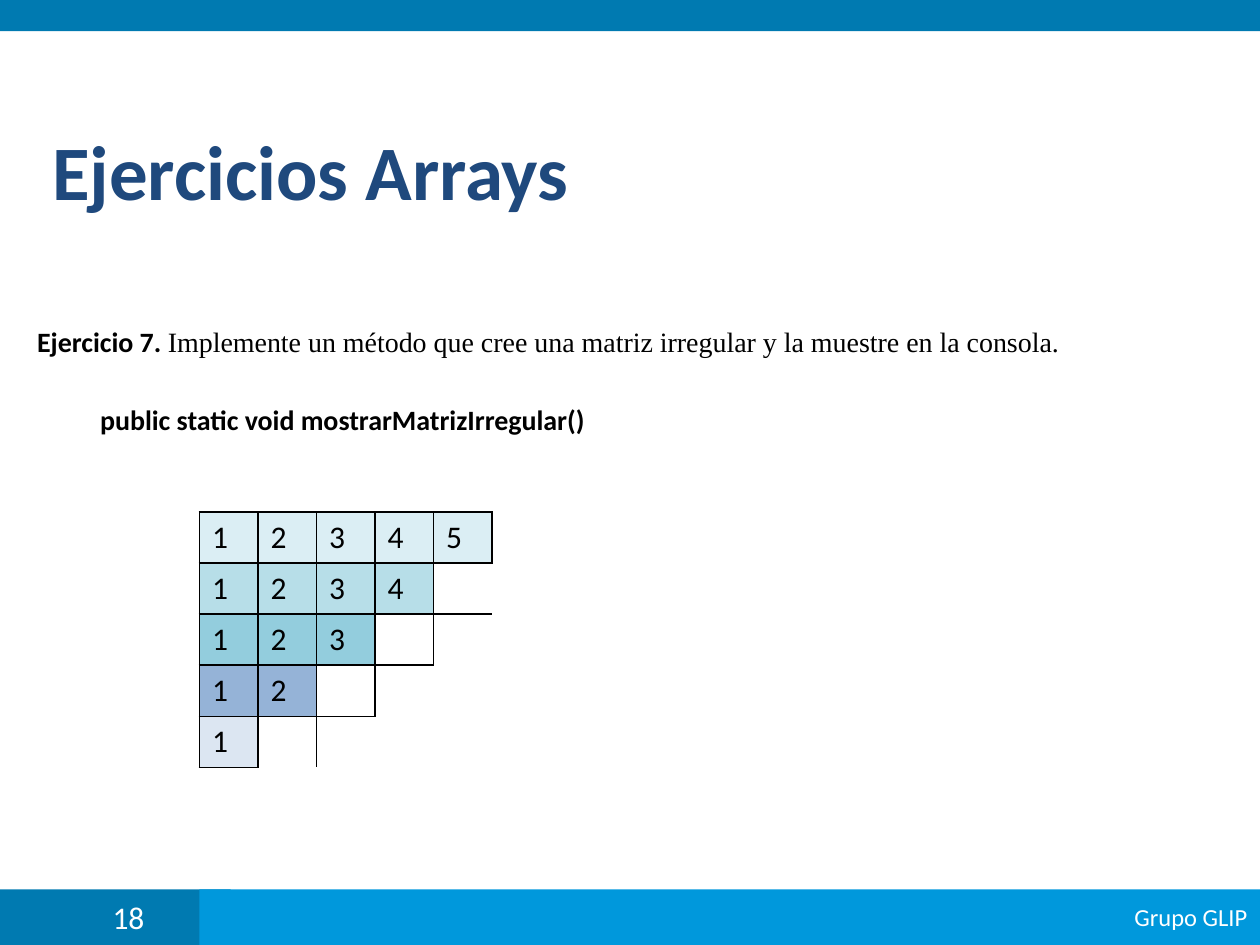
from lxml.etree import SubElement
from pptx import Presentation
from pptx.dml.color import RGBColor
from pptx.enum.shapes import MSO_SHAPE as Shape
from pptx.enum.text import MSO_ANCHOR as Anchor, PP_ALIGN as Align
from pptx.oxml.ns import qn
from pptx.util import Cm, Pt

WIDTH, HEIGHT = 25.4, 19.05
FOOTER_TOP, FOOTER_HEIGHT = 17.93, 1.12
NAVY, BLUE, SKY = "1F497D", "007AB1", "0098DC"
BLACK, WHITE = "000000", "FFFFFF"

TITLE = [("Ejercicios Arrays", "Calibri", 44, True, NAVY)]
STATEMENT = [
    ("Ejercicio 7. ", "Calibri", 16, True, BLACK),
    ("Implemente un método que cree una matriz irregular y la muestre en la consola.",
     "Times New Roman", 16, False, BLACK),
]
SIGNATURE = [("\tpublic static void mostrarMatrizIrregular()", "Calibri", 16, True, BLACK)]
PAGE_NUMBER = [("18", "Calibri", 18, False, WHITE)]
GROUP = [("Grupo GLIP", "Calibri", 14, False, WHITE)]

ROW_COLOURS = ["DBEEF4", "B7DEE8", "93CDDD", "95B3D7", "DCE6F2"]
TABLE_LEFT, TABLE_TOP = 4.02, 10.32
CELL_WIDTH, CELL_HEIGHT = 1.18, 1.03


def colour(value):
    return RGBColor.from_string(value)


def write(paragraph, runs, align=Align.LEFT, before=0):
    paragraph.alignment = align
    paragraph.space_before = Pt(before)
    for text, font, size, bold, ink in runs:
        run = paragraph.add_run()
        run.text = text
        run.font.name = font
        run.font.size = Pt(size)
        run.font.bold = bold
        run.font.color.rgb = colour(ink)


def add_bar(slide, left, top, width, height, fill):
    bar = slide.shapes.add_shape(Shape.RECTANGLE, Cm(left), Cm(top), Cm(width), Cm(height))
    bar.shadow.inherit = False
    bar.fill.solid()
    bar.fill.fore_color.rgb = colour(fill)
    bar.line.fill.background()
    bar.text_frame.vertical_anchor = Anchor.MIDDLE
    return bar.text_frame


def add_text(slide, left, top, width, height):
    frame = slide.shapes.add_textbox(Cm(left), Cm(top), Cm(width), Cm(height)).text_frame
    frame.word_wrap = True
    return frame


def set_borders(cell, visible):
    properties = cell._tc.get_or_add_tcPr()
    for index, side in enumerate("LRTB"):
        line = properties.makeelement(qn(f"a:ln{side}"), {"w": str(Pt(1))})
        properties.insert(index, line)
        if side in visible:
            fill = SubElement(line, qn("a:solidFill"))
            SubElement(fill, qn("a:srgbClr"), val=BLACK)
        else:
            SubElement(line, qn("a:noFill"))


def visible_sides(row, column, count):
    distance = row + column - count
    if distance < 0:
        return "LRTB"
    if distance > 1:
        return ""
    sides = "LT"
    if distance == 0:
        sides += "R" if column < count - 1 else ""
        sides += "B" if row < count - 1 else ""
    return sides


def add_matrix(slide):
    count = len(ROW_COLOURS)
    table = slide.shapes.add_table(
        count, count, Cm(TABLE_LEFT), Cm(TABLE_TOP),
        Cm(count * CELL_WIDTH), Cm(count * CELL_HEIGHT)).table
    table.first_row = table.horz_banding = False
    for column in table.columns:
        column.width = Cm(CELL_WIDTH)
    for row, fill in enumerate(ROW_COLOURS):
        table.rows[row].height = Cm(CELL_HEIGHT)
        for column in range(count):
            cell = table.cell(row, column)
            if row + column < count:
                cell.fill.solid()
                cell.fill.fore_color.rgb = colour(fill)
                number = str(column + 1)
                write(cell.text_frame.paragraphs[0], [(number, "Calibri", 18, False, BLACK)])
            else:
                cell.fill.background()
            set_borders(cell, visible_sides(row, column, count))


def main():
    presentation = Presentation()
    presentation.slide_width, presentation.slide_height = Cm(WIDTH), Cm(HEIGHT)
    slide = presentation.slides.add_slide(presentation.slide_layouts[6])

    add_bar(slide, 0, 0, WIDTH, 0.63, BLUE)
    page = add_bar(slide, 0, FOOTER_TOP, 4.65, FOOTER_HEIGHT, BLUE)
    page.margin_left = Cm(2.27)
    write(page.paragraphs[0], PAGE_NUMBER)

    body = add_text(slide, 0.5, 4.93, 24, 12.6)
    body.margin_top = Cm(1.62)
    write(body.paragraphs[0], STATEMENT, Align.JUSTIFY)
    write(body.add_paragraph(), SIGNATURE, before=25)

    title = add_text(slide, 0.8, 1.73, 24.6, 3.4)
    title.vertical_anchor = Anchor.MIDDLE
    write(title.paragraphs[0], TITLE)

    group = add_bar(slide, TABLE_LEFT, FOOTER_TOP, WIDTH - TABLE_LEFT, FOOTER_HEIGHT, SKY)
    write(group.paragraphs[0], GROUP, Align.RIGHT)
    add_matrix(slide)

    presentation.save("out.pptx")


if __name__ == "__main__":
    main()
